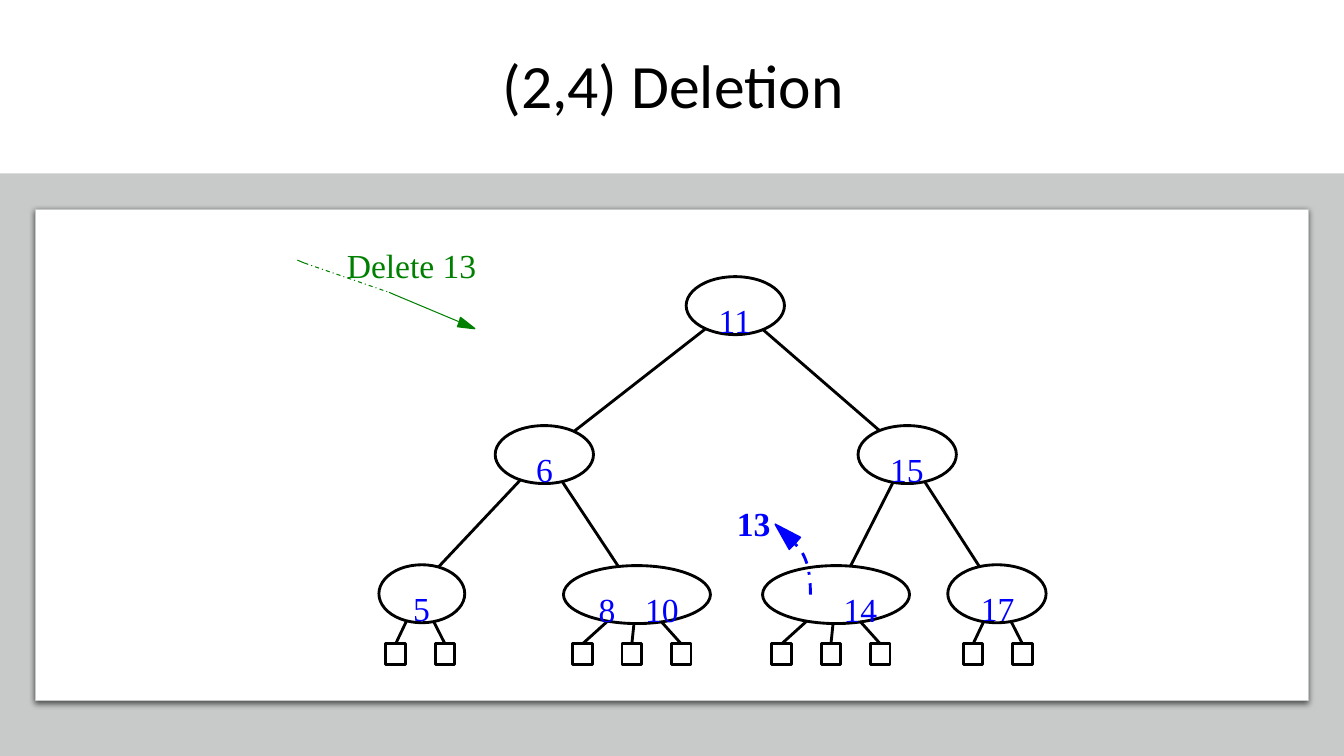
from lxml.etree import SubElement
from pptx import Presentation
from pptx.dml.color import RGBColor
from pptx.enum.dml import MSO_LINE
from pptx.enum.shapes import MSO_CONNECTOR, MSO_SHAPE
from pptx.enum.text import MSO_ANCHOR, PP_ALIGN
from pptx.oxml.ns import qn
from pptx.util import Pt

BLACK, WHITE, GRAY = "000000", "FFFFFF", "C8CACA"
BLUE, GREEN = "0000FF", "008000"
STROKE = 2.04
NODE_W, NODE_H = 70.2, 41.4
LEAF_W, LEAF_H, LEAF_TOP, LEAF_STEP = 14, 15, 459.9, 35.25


def color(hex_code):
    return RGBColor.from_string(hex_code)


def write(tf, text, font="Times New Roman", size=24, fill=BLUE, bold=False,
          align=PP_ALIGN.LEFT, spacing=0.97):
    p = tf.paragraphs[0]
    p.alignment, p.line_spacing = align, spacing
    r = p.add_run()
    r.text = text
    r.font.name, r.font.size, r.font.bold = font, Pt(size), bold
    r.font.color.rgb = color(fill)


class TreeSlide:
    def __init__(self, prs):
        self.slide = prs.slides.add_slide(prs.slide_layouts[5])
        self.shapes = self.slide.shapes

    def start_group(self):
        """Send the elements that follow to a new group."""
        self.shapes = self.slide.shapes.add_group_shape().shapes

    def title(self, text, x, y, w, h):
        sp = self.slide.shapes.title
        sp.left, sp.top, sp.width, sp.height = Pt(x), Pt(y), Pt(w), Pt(h)
        sp.text_frame.vertical_anchor = MSO_ANCHOR.MIDDLE
        write(sp.text_frame, text, font="Calibri", size=44, fill=BLACK,
              align=PP_ALIGN.CENTER, spacing=0.9)

    def paint(self, sp, fill=None, line=None, width=STROKE):
        sp.shadow.inherit = False
        if fill:
            sp.fill.solid()
            sp.fill.fore_color.rgb = color(fill)
        else:
            sp.fill.background()
        if line:
            sp.line.color.rgb = color(line)
            sp.line.width = Pt(width)
        else:
            sp.line.fill.background()
        return sp

    def shape(self, kind, x, y, w, h, **look):
        sp = self.shapes.add_shape(kind, Pt(x), Pt(y), Pt(w), Pt(h))
        return self.paint(sp, **look)

    def outline(self, points, closed=True, **look):
        start, *rest = [(Pt(x), Pt(y)) for x, y in points]
        builder = self.shapes.build_freeform(*start)
        builder.add_line_segments(rest, close=closed)
        return self.paint(builder.convert_to_shape(), **look)

    def line(self, start, end, stroke=BLACK, width=STROKE, dash=None):
        ends = [Pt(v) for v in (*start, *end)]
        cxn = self.shapes.add_connector(MSO_CONNECTOR.STRAIGHT, *ends)
        cxn.line.color.rgb = color(stroke)
        cxn.line.width = Pt(width)
        if dash:
            cxn.line.dash_style = dash
        SubElement(cxn._element.spPr, qn("a:effectLst"))

    def label(self, text, x, y, w=31, **style):
        tf = self.shapes.add_textbox(Pt(x), Pt(y), Pt(w), Pt(29.5)).text_frame
        tf.word_wrap = True
        tf.margin_left = tf.margin_right = tf.margin_top = tf.margin_bottom = 0
        write(tf, text, **style)

    def panel(self, x, y, w, h):
        """White panel with a soft shadow below it."""
        sp = self.shape(MSO_SHAPE.RECTANGLE, x, y, w, h,
                        fill=WHITE, line=GRAY, width=0.75)
        effects = sp._element.spPr.find(qn("a:effectLst"))
        shadow = SubElement(effects, qn("a:outerShdw"), blurRad=str(Pt(4.5)),
                            dist=str(Pt(1.5)), dir="5400000", rotWithShape="0")
        tint = SubElement(shadow, qn("a:srgbClr"), val=BLACK)
        SubElement(tint, qn("a:alpha"), val="63000")

    def node(self, x, y, keys, w=NODE_W, leaves=0, first=0, stem=0):
        """Draw the leaves, the oval and its keys, given as (text, offset)."""
        for i in range(leaves):
            leaf_x = x + first + i * LEAF_STEP
            self.shape(MSO_SHAPE.RECTANGLE, leaf_x - LEAF_W / 2, LEAF_TOP,
                       LEAF_W, LEAF_H, line=BLACK)
            self.line((x + stem, y), (leaf_x, LEAF_TOP))
        self.shape(MSO_SHAPE.OVAL, x - w / 2, y - NODE_H / 2, w, NODE_H,
                   fill=WHITE, line=BLACK)
        for text, offset in keys:
            self.label(text, x + offset, y - 2.6)


def bezier(p0, p1, p2, p3, steps=16):
    def at(t):
        u = 1 - t
        return tuple(u**3 * a + 3 * u * u * t * b + 3 * u * t * t * c + t**3 * d
                     for a, b, c, d in zip(p0, p1, p2, p3))
    return [at(i / steps) for i in range(steps + 1)]


def main():
    prs = Presentation()
    prs.slide_width, prs.slide_height = Pt(960), Pt(540)
    s = TreeSlide(prs)
    s.title("(2,4) Deletion", 101.5, 26.6, 758.9, 73.4)
    s.shape(MSO_SHAPE.RECTANGLE, 0, 123.8, 960, 416.2, fill=GRAY)
    s.panel(25.2, 149.8, 909.4, 350.6)

    s.start_group()
    root, left, right = (525.2, 218.3), (388.8, 324.7), (648, 324.7)
    for start, end in ((root, left), (root, right),
                       (left, (295.2, 424.1)), (left, (455, 424.7)),
                       (right, (597.2, 424.7)), (right, (712.1, 424.1))):
        s.line(start, end)
    s.node(*root, [("11", -11.8)])
    s.node(*left, [("6", -5.8)])
    s.node(*right, [("15", -12.2)])
    s.node(301.3, 424.1, [("5", -6.1)], w=61.3, leaves=2, first=-18.7, stem=-1.6)
    s.node(455, 424.7, [("8", -27.3), ("10", 5.8)], w=105, leaves=3, first=-38.9)
    s.node(597.2, 424.7, [("14", 5.4)], w=105, leaves=3, first=-38.9)
    s.node(712.1, 424.1, [("17", -11.5)], leaves=2, first=-17)

    s.start_group()
    s.label("13", 526.3, 360.7, bold=True)
    s.outline([(553.7, 374.4), (571.7, 383.8), (568.1, 388.1), (563.8, 392.4)],
              fill=BLUE, line=BLUE, width=1.08)
    removal = s.outline(bezier((578.9, 424.8), (578.9, 409),
                               (576.7, 396.7), (568.1, 388.8)),
                        closed=False, line=BLUE)
    removal.line.dash_style = MSO_LINE.DASH_DOT

    s.start_group()
    s.outline([(329, 226.8), (339.1, 234.7), (326.9, 233.3), (328.3, 229.7)],
              fill=GREEN, line=GREEN, width=1.08)
    pointer = [(212.4, 185.8), (217.4, 187.9), (277.9, 208.8),
               (283, 211), (327.6, 229.7)]
    dashes = (None, MSO_LINE.DASH_DOT, None, None)
    for start, end, dash in zip(pointer, pointer[1:], dashes):
        s.line(start, end, stroke=GREEN, width=0.75, dash=dash)
    s.label("Delete 13", 247.7, 176.4, w=120, fill=GREEN)

    prs.save("out.pptx")


if __name__ == "__main__":
    main()
